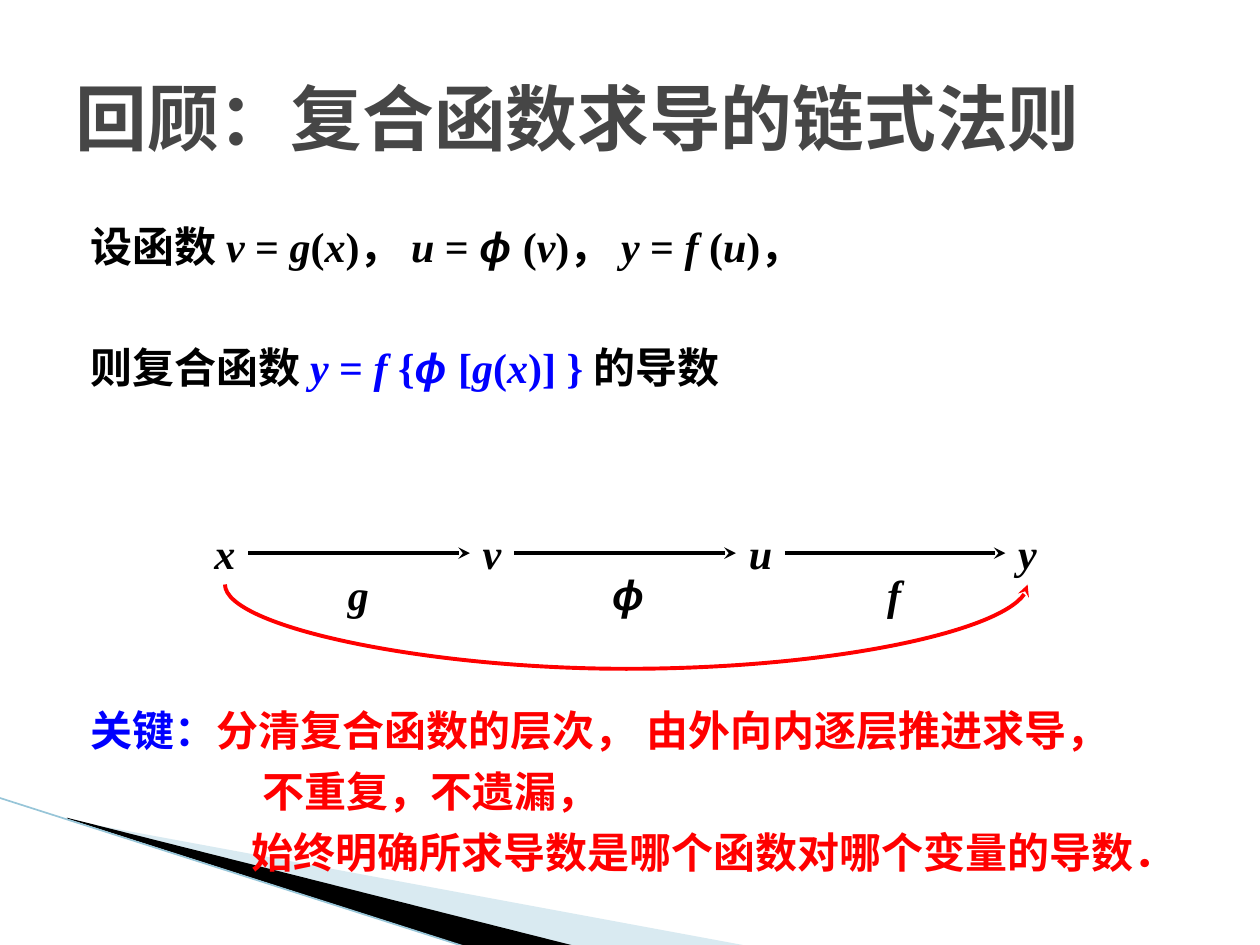
import pptx
import pptx.util
import pptx.dml.color
import pptx.enum.shapes
import pptx.enum.text
import pptx.oxml.ns
import pptx.oxml.xmlchemy

Pt = pptx.util.Pt
qn = pptx.oxml.ns.qn
new_element = pptx.oxml.xmlchemy.OxmlElement
Align = pptx.enum.text.PP_ALIGN
Anchor = pptx.enum.text.MSO_ANCHOR
Connector = pptx.enum.shapes.MSO_CONNECTOR

THEME = {
    "serif": "Times New Roman", "sans": "Arial",
    "title_size": 41, "text_size": 24, "line_height": 34.6, "stroke": 2.25,
    "title": "464646", "black": "000000", "blue": "0000FF", "red": "FF0000",
    "pale": "A0CBDC", "edge": "97C5D8",
}
TITLE = "回顾：复合函数求导的链式法则"
HANGING, SECOND_TAB, SPACED_TAB = (28.8, -20.16), (100.8, 0), (106.8, 0)
BODY = [
    (0, HANGING, [("black", ["设函数 ", "v", " = ", "g", "(", "x", ")， ", "u", " = ", "ϕ ",
                             "(", "v", ")， ", "y", " = ", "f ", "(", "u", ")，"])]),
    (1, HANGING, [("black", ["则复合函数 "]),
                  ("blue", ["y", " = ", "f ", "{", "ϕ ", "[", "g", "(", "x", ")] }"]),
                  ("black", [" 的导数"])]),
    (5, HANGING, [("blue", ["关键："]), ("red", ["分清复合函数的层次， 由外向内逐层推进求导，"])]),
    (0, SPACED_TAB, [("red", ["不重复，不遗漏，"])]),
    (0, SECOND_TAB, [("red", ["始终明确所求导数是哪个函数对哪个变量的导数．"])]),
]
VARIABLES = [("x", 115.2, 26.64), ("v", 268.56, 25.2), ("u", 420.48, 28.08), ("y", 574.56, 25.2)]
FUNCTIONS = [("g", 191.52, 26.64), ("ϕ", 342.72, 28.8), ("f", 499.68, 22.32)]
VARIABLE_TOP, FUNCTION_TOP, LABEL_HEIGHT = 298.08, 321.12, 36
WEDGES = [
    ("pale", 40, [(39.6, 468.7), (428.4, 540.7), (328.3, 540.7), (39.6, 468)]),
    ("black", 100, [(38.2, 467.3), (329, 540.7), (267.8, 541.4), (38.9, 468)]),
]
EDGE = (-0.7, 455.8, 267.1, 541.4)
ARC_SPAN, ARC_DEPTH = 0.125, 425


def rgb(name):
    return pptx.dml.color.RGBColor.from_string(THEME[name])


def style(span, color, size, italic=False):
    span.font.name = THEME["sans" if "ϕ" in span.text else "serif"]
    span.font.size = Pt(size)
    span.font.bold = True
    span.font.italic = italic
    span.font.color.rgb = rgb(color)


def add_box(page, left, top, width, height, wrap=True):
    box = page.shapes.add_textbox(Pt(left), Pt(top), Pt(width), Pt(height))
    box.text_frame.word_wrap = wrap
    return box


def add_line(page, kind, ends, color, width, arrow=False):
    line = page.shapes.add_connector(kind, *[Pt(value) for value in ends])
    line.line.color.rgb = rgb(color)
    line.line.width = Pt(width)
    if arrow:
        tail = new_element("a:tailEnd")
        tail.set("type", "stealth")
        line._element.spPr.find(qn("a:ln")).append(tail)
    line._element.spPr.append(new_element("a:effectLst"))
    return line


def add_wedge(page, color, opacity, points):
    corners = [(Pt(x), Pt(y)) for x, y in points]
    builder = page.shapes.build_freeform(*corners[0])
    builder.add_line_segments(corners[1:], close=True)
    wedge = builder.convert_to_shape()
    wedge.shadow.inherit = False
    wedge.line.fill.background()
    wedge.fill.solid()
    wedge.fill.fore_color.rgb = rgb(color)
    if opacity < 100:
        alpha = new_element("a:alpha")
        alpha.set("val", str(opacity * 1000))
        wedge._element.spPr.find(".//" + qn("a:srgbClr")).append(alpha)


def add_title(page):
    box = add_box(page, 36, 21.6, 648, 90)
    box.text_frame.text = TITLE
    box.text_frame.vertical_anchor = Anchor.MIDDLE
    style(box.text_frame.paragraphs[0].runs[0], "title", THEME["title_size"])


def add_body(page):
    frame = add_box(page, 36, 116.64, 648, 386.64).text_frame
    for index, (gap, (margin, indent), groups) in enumerate(BODY):
        para = frame.add_paragraph() if index else frame.paragraphs[0]
        properties = para._p.get_or_add_pPr()
        properties.set("marL", str(int(Pt(margin))))
        properties.set("indent", str(int(Pt(indent))))
        para.line_spacing = Pt(THEME["line_height"])
        if gap:
            para.space_before = Pt(gap * THEME["line_height"])
        for color, texts in groups:
            for text in texts:
                span = para.add_run()
                span.text = text
                style(span, color, THEME["text_size"], text.strip() in set("vgxuϕyf"))


def add_label(page, text, left, top, width):
    box = add_box(page, left, top, width, LABEL_HEIGHT, wrap=False)
    box.text_frame.text = text
    para = box.text_frame.paragraphs[0]
    para.alignment = Align.CENTER
    style(para.runs[0], "black", THEME["text_size"], italic=True)


def add_arc(page):
    starts = [left + width / 2 for _, left, width in (VARIABLES[0], VARIABLES[-1])]
    center, length = sum(starts) / 2, starts[1] - starts[0]
    base = VARIABLE_TOP + LABEL_HEIGHT
    ends = (center, base - length / 2, center + ARC_SPAN, base + length / 2)
    arc = add_line(page, Connector.CURVE, ends, "red", THEME["stroke"], arrow=True)
    frame = arc._element.spPr.find(qn("a:xfrm"))
    frame.set("rot", str(270 * 60000))
    frame.set("flipH", "1")
    guide = new_element("a:gd")
    guide.set("name", "adj1")
    guide.set("fmla", f"val {ARC_DEPTH * 100000}")
    geometry = arc._element.spPr.find(qn("a:prstGeom"))
    geometry.find(qn("a:avLst")).append(guide)


def add_chain(page):
    for text, left, width in VARIABLES:
        add_label(page, text, left, VARIABLE_TOP, width)
    middle = VARIABLE_TOP + LABEL_HEIGHT / 2
    for (_, left, width), (_, target, _) in zip(VARIABLES, VARIABLES[1:]):
        ends = (left + width, middle, target, middle)
        add_line(page, Connector.STRAIGHT, ends, "black", THEME["stroke"], arrow=True)
    add_arc(page)
    for text, left, width in FUNCTIONS:
        add_label(page, text, left, FUNCTION_TOP, width)


def main():
    deck = pptx.Presentation()
    deck.slide_width, deck.slide_height = Pt(720), Pt(540)
    page = deck.slides.add_slide(deck.slide_layouts[6])
    for wedge in WEDGES:
        add_wedge(page, *wedge)
    add_line(page, Connector.STRAIGHT, EDGE, "edge", 0.95)
    add_title(page)
    add_body(page)
    add_chain(page)
    deck.save("out.pptx")


if __name__ == "__main__":
    main()
